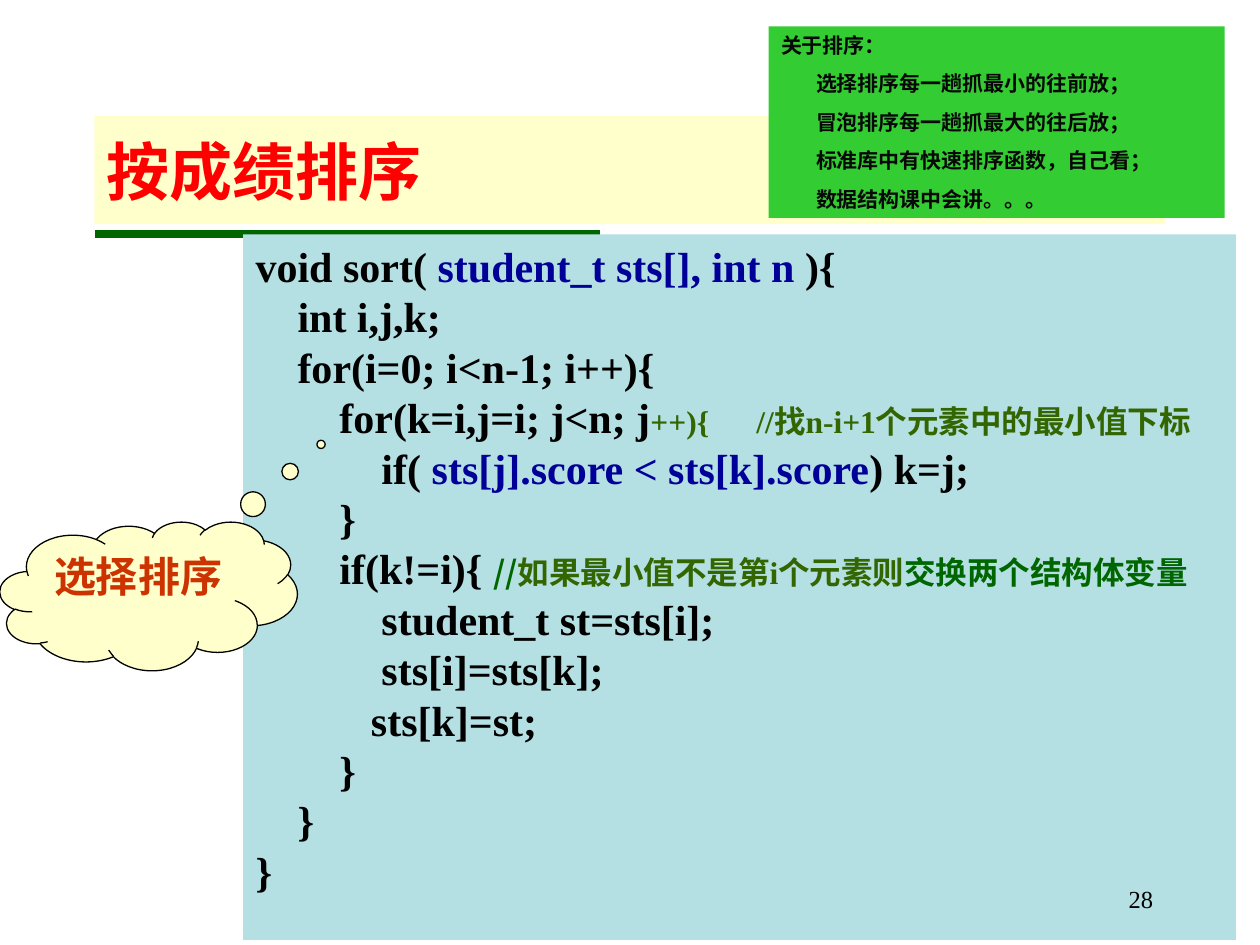
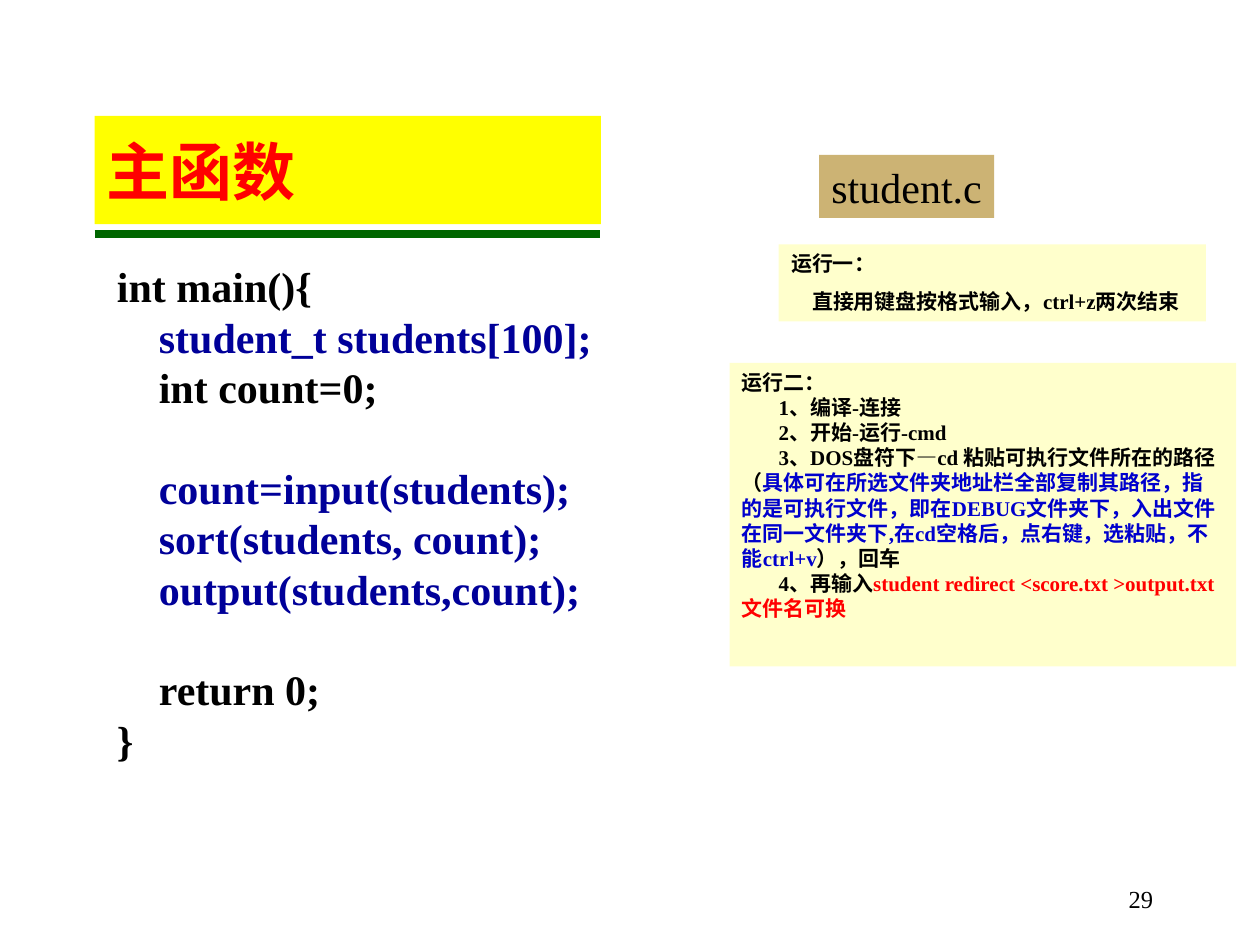
from dataclasses import dataclass

from lxml import etree
from pptx import Presentation
from pptx import util as u
from pptx.dml.color import RGBColor
from pptx.enum import shapes, text
from pptx.oxml import ns


@dataclass(frozen=True)
class Theme:
    black: str = "000000"
    ink: str = "080808"
    navy: str = "000099"
    blue: str = "0000CC"
    red: str = "FF0000"
    rust: str = "CC3300"
    green: str = "006600"
    olive: str = "336600"
    lime: str = "33CC33"
    cream: str = "FFFFCC"
    yellow: str = "FFFF00"
    aqua: str = "B5E0E3"
    tan: str = "CCB374"
    latin: str = "Times New Roman"
    cjk: str = "Noto Sans CJK SC"
    title: int = 36
    code: int = 24
    comment: int = 18
    page: int = 14
    note: int = 12


T = Theme()
PX = 9144  # 100 px to the inch
LINE = 1.2  # line pitch relative to type size


def write(tf, lines, size, color=T.black, font=T.latin, bold=True, gap=0, indent=0):
    """Write lines of (text, color, size, font) runs; a plain string is one run.

    An empty line becomes space before the next one; indent spares the first line.
    """
    p, skipped = None, 0
    for line in lines:
        if not line:
            skipped += size * LINE
            continue
        first = p is None
        p = tf.paragraphs[0] if first else tf.add_paragraph()
        p.line_spacing = u.Pt(size * LINE)
        if not first:
            p.space_before = u.Pt(gap + skipped)
            if indent:
                p._p.get_or_add_pPr().set("indent", str(u.Pt(indent)))
        skipped = 0
        for run in [(line,)] if isinstance(line, str) else line:
            content, run_color, run_size, run_font = (run + (None,) * 3)[:4]
            r = p.add_run()
            r.text = content
            r.font.size = u.Pt(run_size or size)
            r.font.bold = bold
            r.font.color.rgb = RGBColor.from_string(run_color or color)
            r.font.name = run_font or font
            ea = etree.SubElement(r.font._element, ns.qn("a:ea"))
            ea.set("typeface", T.cjk)


def add_box(s, place, fill=None, kind=shapes.MSO_SHAPE.RECTANGLE,
            anchor=text.MSO_ANCHOR.TOP, wrap=True):
    place = [n * PX for n in place]
    if fill:
        sp = s.shapes.add_shape(kind, *place)
        sp.shadow.inherit = False
        sp.fill.solid()
        sp.fill.fore_color.rgb = RGBColor.from_string(fill)
        sp.line.fill.background()
    else:
        sp = s.shapes.add_textbox(*place)
    tf = sp.text_frame
    tf.word_wrap = wrap
    tf.vertical_anchor = anchor
    tf.paragraphs[0].alignment = text.PP_ALIGN.LEFT
    return sp


prs = Presentation()
prs.slide_width, prs.slide_height = 1000 * PX, 750 * PX

# Green rule and title band
for heading, width, fill in [("按成绩排序", 850, T.cream), ("主函数", 402, T.yellow)]:
    s = prs.slides.add_slide(prs.slide_layouts[6])
    rule = s.shapes.add_connector(shapes.MSO_CONNECTOR.STRAIGHT,
                                  75 * PX, 186 * PX, 476 * PX, 186 * PX)
    rule.line.color.rgb = RGBColor.from_string(T.green)
    rule.line.width = u.Pt(4.5)
    etree.SubElement(rule._element.spPr, ns.qn("a:effectLst"))
    band = add_box(s, (75, 92, width, 86), fill, anchor=text.MSO_ANCHOR.MIDDLE)
    write(band.text_frame, [heading], T.title, T.red, T.cjk)

sort_slide, main_slide = prs.slides

# Sorting by score
sort_code = [
    [("void sort( ",), ("student_t sts[], int n", T.navy), (" ){",)],
    "    int i,j,k;",
    "    for(i=0; i<n-1; i++){",
    [("        for(k=i,j=i; j<n; j",),
     ("++){      //找n-i+1个元素中的最小值下标", T.olive, T.comment)],
    [("            if( ",), ("sts[j].score < sts[k].score", T.navy), (") k=j;",)],
    "        }",
    [("        if(k!=i){ ",),
     ("//", T.green, T.comment, T.cjk),
     ("如果最小值不是第i个元素则", T.olive, T.comment),
     ("交换两个结构体变量", T.green, T.comment, T.cjk)],
    "            student_t st=sts[i];",
    "            sts[i]=sts[k];",
    "           sts[k]=st;",
    "        }",
    "    }",
    "}",
]
code = add_box(sort_slide, (193, 186, 788, 560), T.aqua)
write(code.text_frame, sort_code, T.code)

cloud = add_box(sort_slide, (0, 414, 236, 118), T.cream, shapes.MSO_SHAPE.CLOUD_CALLOUT)
cloud.adjustments[0], cloud.adjustments[1] = 0.58, -1.02
cloud.line.color.rgb = RGBColor.from_string(T.black)
cloud.line.width = u.Pt(0.75)
write(cloud.text_frame, ["选择排序"], T.code, T.rust, T.cjk)
cloud.text_frame.paragraphs[0].alignment = text.PP_ALIGN.CENTER

about_sorting = [
    "关于排序：",
    "选择排序每一趟抓最小的往前放；",
    "冒泡排序每一趟抓最大的往后放；",
    "标准库中有快速排序函数，自己看；",
    "数据结构课中会讲。。。",
]
note = add_box(sort_slide, (610, 21, 362, 152), T.lime)
write(note.text_frame, about_sorting, T.note, T.ink, gap=7.5, indent=20)

# Main function
main_code = [
    "int main(){",
    [("    student_t students[100];", T.navy)],
    "    int count=0;",
    "",
    [("    count=input(students);", T.navy)],
    [("    sort(students, count);", T.navy)],
    [("    output(students,count);", T.navy)],
    "",
    "    return 0;",
    "}",
]
code = add_box(main_slide, (83, 202, 397, 410), wrap=False)
write(code.text_frame, main_code, T.code)

file_name = add_box(main_slide, (650, 123, 139, 50), T.tan, wrap=False)
write(file_name.text_frame, ["student.c"], T.code, bold=False)

redirected_run = [
    "运行二：",
    "1、编译-连接",
    "2、开始-运行-cmd",
    [("3、DOS盘符下—cd 粘贴可执行文件所在的路径（",),
     ("具体可在所选文件夹地址栏全部复制其路径，指的是可执行文件，即在DEBUG文件夹下，"
      "入出文件在同一文件夹下,在cd空格后，点右键，选粘贴，不能ctrl+v", T.blue),
     ("），回车",)],
    [("4、再输入",),
     ("student redirect <score.txt >output.txt  文件名可换", T.red)],
]
note = add_box(main_slide, (579, 288, 402, 241), T.cream)
write(note.text_frame, redirected_run, T.note, indent=21)

keyboard_run = ["运行一：", "直接用键盘按格式输入，ctrl+z两次结束"]
note = add_box(main_slide, (618, 194, 339, 61), T.cream)
write(note.text_frame, keyboard_run, T.note, gap=7.5, indent=12)

# Page numbers
for number, s in enumerate(prs.slides, start=28):
    page = add_box(s, (717, 692, 208, 38), anchor=text.MSO_ANCHOR.BOTTOM)
    write(page.text_frame, [str(number)], T.page, bold=False)
    page.text_frame.paragraphs[0].alignment = text.PP_ALIGN.RIGHT

prs.save("out.pptx")
